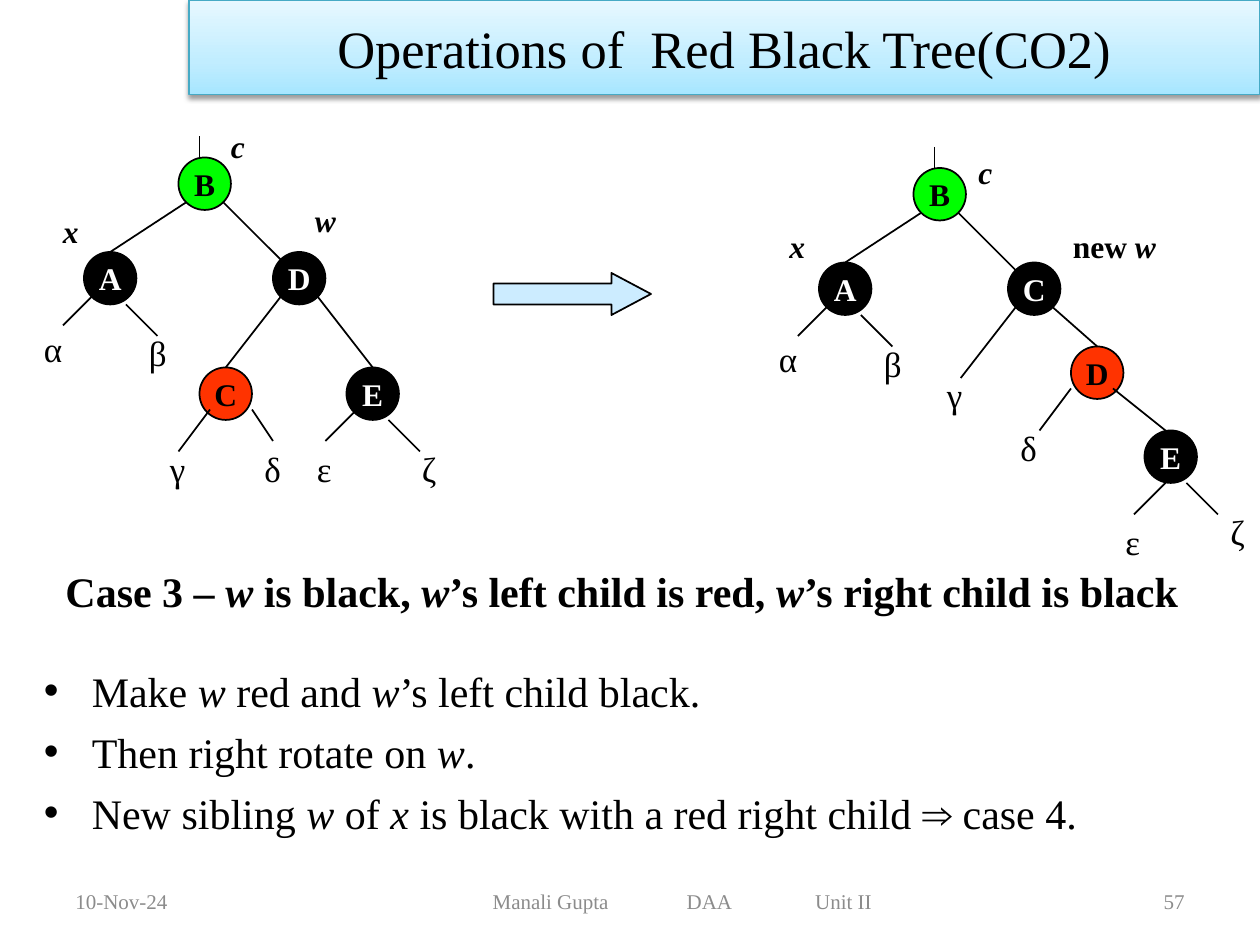
from pptx import Presentation
from pptx.dml.color import RGBColor
from pptx.enum.shapes import MSO_CONNECTOR, MSO_SHAPE
from pptx.enum.text import MSO_ANCHOR, PP_ALIGN
from pptx.oxml import parse_xml
from pptx.oxml.ns import nsdecls, qn
from pptx.util import Inches, Pt

FONT = "Times New Roman"
BLACK, WHITE, GREEN, RED, GREY = "000000", "FFFFFF", "00FF00", "FF3300", "8C8C8C"
UNIT = 1 / 12
NODE = 5
DIAGONAL = 0.1464 * NODE

TITLE = "Operations of  Red Black Tree(CO2)"
GRADIENT = [(0, "A7E6FF"), (35, "C1EDFF"), (100, "E7F8FF")]
CASE = "Case 3 – |w| is black, |w|’s left child is red, |w|’s right child is black"
STEPS = [
    "Make |w |red and |w|’s left child black.",
    "Then right rotate on |w|.",
    "New sibling |w |of |x |is black with a red right child ⇒ case 4.",
]
DATE, AUTHOR, PAGE = "10-Nov-24", "Manali Gupta\tDAA\tUnit II", "57"
AUTHOR_TABS = [1.54, 2.56]

SHARED_NODES = {"B": (17, 15, GREEN), "A": (8, 24, BLACK)}
SHARED_STUBS = [(19, 13, 19, 15), (9, 28, 6, 31), (12, 29, 15, 32)]
SHARED_GREEK = [("α", 3, 30.6), ("β", 13, 31)]

TREES = [
    dict(
        origin=(0, 0),
        nodes={"D": (26, 24, BLACK), "C": (19, 35, RED), "E": (33, 35, BLACK)},
        edges=[("B", "left", "A"), ("B", "right", "D"), ("D", "left", "C"), ("D", "right", "E")],
        stubs=[(20, 39, 17, 43), (24, 39, 26, 42), (34, 39, 31, 42), (37, 40, 40, 43)],
        greek=[("γ", 15, 42), ("δ", 24, 42), ("ε", 29, 42), ("ζ", 39, 42)],
        marks=[("|x", 4.8, 19.6), ("|w", 28.8, 18.6), ("|c", 20.8, 11.5)],
    ),
    dict(
        origin=(70, 1),
        nodes={"C": (26, 24, BLACK), "D": (32, 32, RED), "E": (39, 40, BLACK)},
        edges=[("B", "left", "A"), ("B", "right", "C"), ("C", "right", "D")],
        stubs=[(26.73, 28.27, 21.5, 35), (32, 36, 29, 40), (36, 36, 41, 40),
               (41, 45, 38, 48), (43, 45, 46, 48)],
        greek=[("γ", 19, 34), ("δ", 26, 39), ("ε", 36, 48), ("ζ", 46, 47)],
        marks=[("|x", 4, 20), ("new|\u0020w", 31, 20), ("|c", 22, 13)],
    ),
]

prs = Presentation()
prs.slide_width, prs.slide_height = Inches(10), Inches(7.5)
s = prs.slides.add_slide(prs.slide_layouts[6])


def rgb(color):
    return RGBColor.from_string(color)


def write(p, text, size, color=BLACK, bold=False, align=PP_ALIGN.LEFT):
    p.alignment = align
    for i, part in enumerate(text.split("|")):
        if part:
            r = p.add_run()
            r.text = part
            f = r.font
            f.name, f.size, f.bold, f.italic = FONT, Pt(size), bold, i % 2 == 1
            f.color.rgb = rgb(color)


def add_text(box, text, size, color=BLACK, bold=False, align=PP_ALIGN.LEFT,
             anchor=MSO_ANCHOR.TOP, wrap=True):
    tf = s.shapes.add_textbox(*map(Inches, box)).text_frame
    tf.word_wrap, tf.vertical_anchor = wrap, anchor
    write(tf.paragraphs[0], text, size, color, bold, align)
    return tf


def add_shape(kind, box, fill, line=BLACK, width=1):
    sp = s.shapes.add_shape(kind, *map(Inches, box))
    sp.shadow.inherit = False
    sp.fill.solid()
    sp.fill.fore_color.rgb = rgb(fill)
    sp.line.color.rgb, sp.line.width = rgb(line), Pt(width)
    return sp


def add_line(x1, y1, x2, y2):
    ends = [Inches(v * UNIT) for v in (x1, y1, x2, y2)]
    cx = s.shapes.add_connector(MSO_CONNECTOR.STRAIGHT, *ends)
    cx.line.color.rgb, cx.line.width = rgb(BLACK), Pt(1)
    cx._element.spPr.append(parse_xml(f"<a:effectLst {nsdecls('a')}/>"))
    return cx


def add_node(name, x, y, color):
    sp = add_shape(MSO_SHAPE.OVAL, [v * UNIT for v in (x, y, NODE, NODE)], color)
    tf = sp.text_frame
    tf.word_wrap, tf.vertical_anchor = False, MSO_ANCHOR.MIDDLE
    write(tf.paragraphs[0], name, 18, WHITE if color == BLACK else BLACK, True, PP_ALIGN.CENTER)
    return sp


def add_tree(tree):
    ox, oy = tree["origin"]
    places = {n: (x + ox, y + oy, c) for n, (x, y, c) in {**SHARED_NODES, **tree["nodes"]}.items()}
    circles = {n: add_node(n, *place) for n, place in places.items()}
    for parent, side, child in tree["edges"]:
        (px, py, _), (cx, cy, _) = places[parent], places[child]
        x1 = px + (DIAGONAL if side == "left" else NODE - DIAGONAL)
        y1 = py + NODE - DIAGONAL
        if parent == "B" and side == "right":
            add_line(x1, y1, cx + DIAGONAL, cy + DIAGONAL)
        else:
            add_line(x1, y1, cx + NODE / 2, cy).end_connect(circles[child], 0)
    for x1, y1, x2, y2 in SHARED_STUBS + tree["stubs"]:
        add_line(x1 + ox, y1 + oy, x2 + ox, y2 + oy)
    for text, x, y in SHARED_GREEK + tree["greek"]:
        add_text(((x + ox) * UNIT, (y + oy) * UNIT, 0.36, 0.43), text, 20, wrap=False)
    for text, x, y in tree["marks"]:
        width = 0.4 if text.startswith("|") else 1.08
        add_text(((x + ox) * UNIT, (y + oy) * UNIT, width, 0.5), text, 18, bold=True, wrap=False)


def add_banner():
    sp = add_shape(MSO_SHAPE.RECTANGLE, (1.5, 0, 8.5, 0.75), WHITE, "46AAC5", 0.75)
    spPr = sp._element.spPr
    stops = "".join(f'<a:gs pos="{pos * 1000}"><a:srgbClr val="{c}"/></a:gs>' for pos, c in GRADIENT)
    spPr.replace(spPr.find(qn("a:solidFill")), parse_xml(
        f'<a:gradFill {nsdecls("a")} rotWithShape="1"><a:gsLst>{stops}</a:gsLst>'
        '<a:lin ang="16200000" scaled="0"/></a:gradFill>'))
    spPr.find(qn("a:effectLst")).append(parse_xml(
        f'<a:outerShdw {nsdecls("a")} blurRad="{Pt(3.1)}" dist="{Pt(1.6)}" dir="5400000" '
        'rotWithShape="0"><a:srgbClr val="000000"><a:alpha val="38000"/></a:srgbClr></a:outerShdw>'))
    tf = sp.text_frame
    tf.vertical_anchor = MSO_ANCHOR.MIDDLE
    write(tf.paragraphs[0], TITLE, 30, align=PP_ALIGN.CENTER)


def add_steps():
    tf = s.shapes.add_textbox(*map(Inches, (0.25, 5.23, 9.25, 1.69))).text_frame
    tf.word_wrap = True
    for i, step in enumerate(STEPS):
        p = tf.add_paragraph() if i else tf.paragraphs[0]
        if i:
            p.space_before = Pt(6)
        pPr = p._p.get_or_add_pPr()
        pPr.set("marL", str(Inches(0.38)))
        pPr.set("indent", str(-Inches(0.38)))
        pPr.append(parse_xml(f'<a:buFont {nsdecls("a")} typeface="Arial"/>'))
        pPr.append(parse_xml(f'<a:buChar {nsdecls("a")} char="•"/>'))
        write(p, step, 24)


def add_footer():
    top, height, middle = 6.95, 0.4, MSO_ANCHOR.MIDDLE
    add_text((0.5, top, 2.33, height), DATE, 12, GREY, anchor=middle)
    add_text((7.17, top, 2.33, height), PAGE, 12, GREY, align=PP_ALIGN.RIGHT, anchor=middle)
    tf = add_text((3.42, top, 4, height), AUTHOR, 12, GREY, anchor=middle)
    tf.margin_left = Inches(0.49)
    tabs = "".join(f'<a:tab pos="{Inches(t)}" algn="l"/>' for t in AUTHOR_TABS)
    tf.paragraphs[0]._p.get_or_add_pPr().append(
        parse_xml(f'<a:tabLst {nsdecls("a")}>{tabs}</a:tabLst>'))


for tree in TREES:
    add_tree(tree)
arrow = add_shape(MSO_SHAPE.RIGHT_ARROW, [v * UNIT for v in (47, 26, 15, 4)], "CCECFF")
arrow.adjustments[1] = 0.94
add_text((0, 4.33, 10, 0.71), CASE, 24, bold=True, anchor=MSO_ANCHOR.MIDDLE).margin_left = Inches(0.52)
add_steps()
add_footer()
add_banner()
prs.save("out.pptx")
